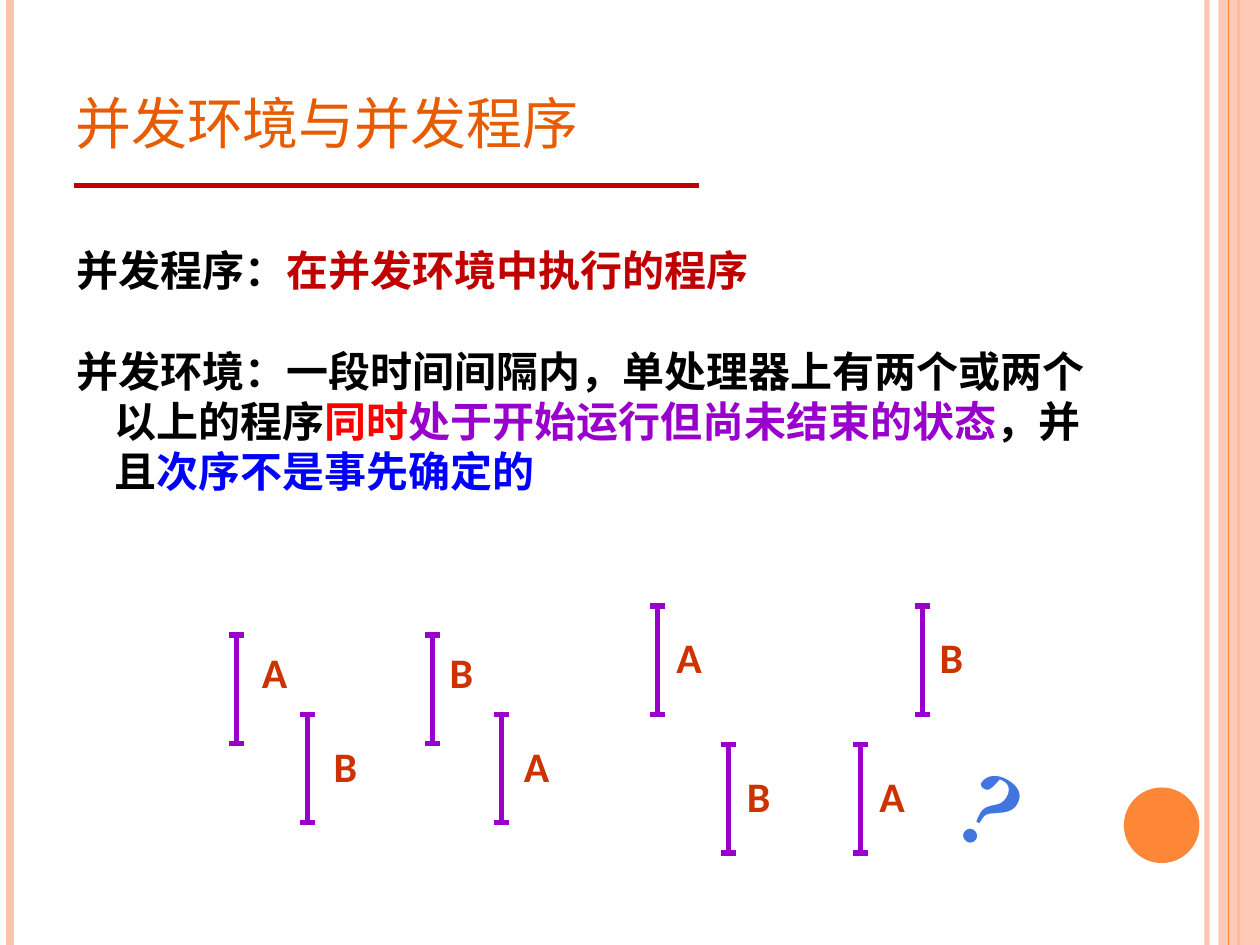
import pptx
import pptx.util
import pptx.dml.color
import pptx.enum.shapes
import pptx.enum.text
import pptx.oxml.ns
from lxml import etree

Inches = pptx.util.Inches
Pt = pptx.util.Pt
ANCHOR = pptx.enum.text.MSO_ANCHOR
ALIGN = pptx.enum.text.PP_ALIGN
SHAPE = pptx.enum.shapes.MSO_SHAPE

CJK = "Noto Sans CJK SC"
PEACH, ORANGE, PURPLE, RUST = "FEC3AE", "FE8637", "9900CC", "CC3300"
BLACK, DARK_RED = "000000", "C00000"

TITLE = "并发环境与并发程序"
DEFINITIONS = [
    [("并发程序：", BLACK), ("在并发环境中执行的程序", DARK_RED)],
    [
        ("并发环境：一段时间间隔内，单处理器上有两个或两个以上的程序", BLACK),
        ("同时", "FF0000"),
        ("处于开始运行但尚未结束的状态", PURPLE),
        ("，并且", BLACK),
        ("次序不是事先确定的", "0000FF"),
    ],
]
SIDE_LINES = [(9.58, PEACH, 3, 93), (0.08, PEACH, 4.5, 100), (9.83, ORANGE, 1.5, 100)]
INTERVALS = [
    ("B", 7.32, 4.81, 7.36, 4.96),
    ("A", 6.83, 5.91, 6.88, 6.07),
    ("A", 5.22, 4.81, 5.27, 4.96),
    ("B", 5.78, 5.91, 5.83, 6.07),
    ("B", 3.43, 5.04, 3.47, 5.08),
    ("A", 3.98, 5.67, 4.06, 5.83),
    ("A", 1.88, 5.04, 1.98, 5.08),
    ("B", 2.44, 5.67, 2.55, 5.83),
]
INTERVAL_LENGTH, CAP_HALF = 0.86, 0.06
LETTER_WIDTHS = {"A": 0.41, "B": 0.39}


def color(value):
    return pptx.dml.color.RGBColor.from_string(value)


def set_alpha(fill, element, percent):
    if percent < 100:
        clr = next(element.iter(pptx.oxml.ns.qn("a:srgbClr")))
        etree.SubElement(clr, pptx.oxml.ns.qn("a:alpha"), val=str(percent * 1000))


def add_line(shapes, start, end, line_color, width, alpha=100):
    line = shapes.add_connector(
        pptx.enum.shapes.MSO_CONNECTOR.STRAIGHT,
        *(Inches(value) for value in (*start, *end)),
    )
    line.line.color.rgb = color(line_color)
    line.line.width = Pt(width)
    properties = line._element.spPr
    set_alpha(line.line, properties, alpha)
    etree.SubElement(properties, pptx.oxml.ns.qn("a:effectLst"))


def add_solid(shapes, kind, box, fill_color, alpha=100):
    shape = shapes.add_shape(kind, *(Inches(value) for value in box))
    shape.shadow.inherit = False
    shape.fill.solid()
    shape.fill.fore_color.rgb = color(fill_color)
    set_alpha(shape.fill, shape._element.spPr, alpha)
    shape.line.fill.background()


def add_text(shapes, paragraphs, box, *, size, font, bold=False, wrap=False,
             anchor=ANCHOR.TOP, align=ALIGN.LEFT, small_caps=False,
             hanging=0, line_points=None, rotation=0):
    shape = shapes.add_textbox(*(Inches(value) for value in box))
    shape.rotation = rotation
    frame = shape.text_frame
    frame.word_wrap = wrap
    frame.vertical_anchor = anchor
    for index, runs in enumerate(paragraphs):
        paragraph = frame.add_paragraph() if index else frame.paragraphs[0]
        paragraph.alignment = align
        if line_points:
            paragraph.line_spacing = Pt(line_points)
            paragraph.space_before = Pt(line_points if index else 0)
        if hanging:
            properties = paragraph._p.get_or_add_pPr()
            properties.set("marL", str(Inches(hanging)))
            properties.set("indent", str(-Inches(hanging)))
        for text, text_color in runs:
            run = paragraph.add_run()
            run.text = text
            run.font.size = Pt(size)
            run.font.bold = bold
            run.font.name = font
            run.font.color.rgb = color(text_color)
            properties = run._r.get_or_add_rPr()
            etree.SubElement(properties, pptx.oxml.ns.qn("a:ea"), typeface=font)
            if small_caps:
                properties.set("cap", "small")


def add_interval(shapes, x, top):
    bottom = top + INTERVAL_LENGTH
    bar = shapes.add_group_shape().shapes
    add_line(bar, (x, top), (x, bottom), PURPLE, 3)
    for y in (top, bottom):
        add_line(bar, (x - CAP_HALF, y), (x + CAP_HALF, y), PURPLE, 3)


def main():
    presentation = pptx.Presentation()
    presentation.slide_width = Inches(10)
    presentation.slide_height = Inches(7.5)
    slide = presentation.slides.add_slide(presentation.slide_layouts[6])
    shapes = slide.shapes

    for x, line_color, width, alpha in SIDE_LINES:
        add_line(shapes, (x, 0), (x, 7.5), line_color, width, alpha)
    add_solid(shapes, SHAPE.RECTANGLE, (9.67, 0, 0.33, 7.5), PEACH, 87)
    add_line(shapes, (9.75, 0), (9.75, 7.5), ORANGE, 0.75)
    add_solid(shapes, SHAPE.OVAL, (8.92, 6.25, 0.6, 0.6), ORANGE)
    add_line(shapes, (0.59, 1.47), (5.55, 1.47), DARK_RED, 3)

    add_text(shapes, [[(TITLE, "E75C01")]], (0.5, 0.3, 8.17, 1.01), size=40,
             font=CJK, wrap=True, anchor=ANCHOR.BOTTOM, small_caps=True)
    add_text(shapes, DEFINITIONS, (0.51, 1.89, 8.2, 5.03), size=24, font=CJK,
             bold=True, wrap=True, hanging=0.3, line_points=28.8)

    for letter, x, top, letter_left, letter_top in INTERVALS:
        add_interval(shapes, x, top)
        add_text(shapes, [[(letter, RUST)]],
                 (letter_left, letter_top, LETTER_WIDTHS[letter], 0.5),
                 size=24, font="Calibri", bold=True)

    add_text(shapes, [[("？", "4275DF")]], (7.54, 6.03, 0.96, 1.01), size=54,
             font="Cambria", bold=True, align=ALIGN.CENTER, rotation=30)

    presentation.save("out.pptx")


if __name__ == "__main__":
    main()
